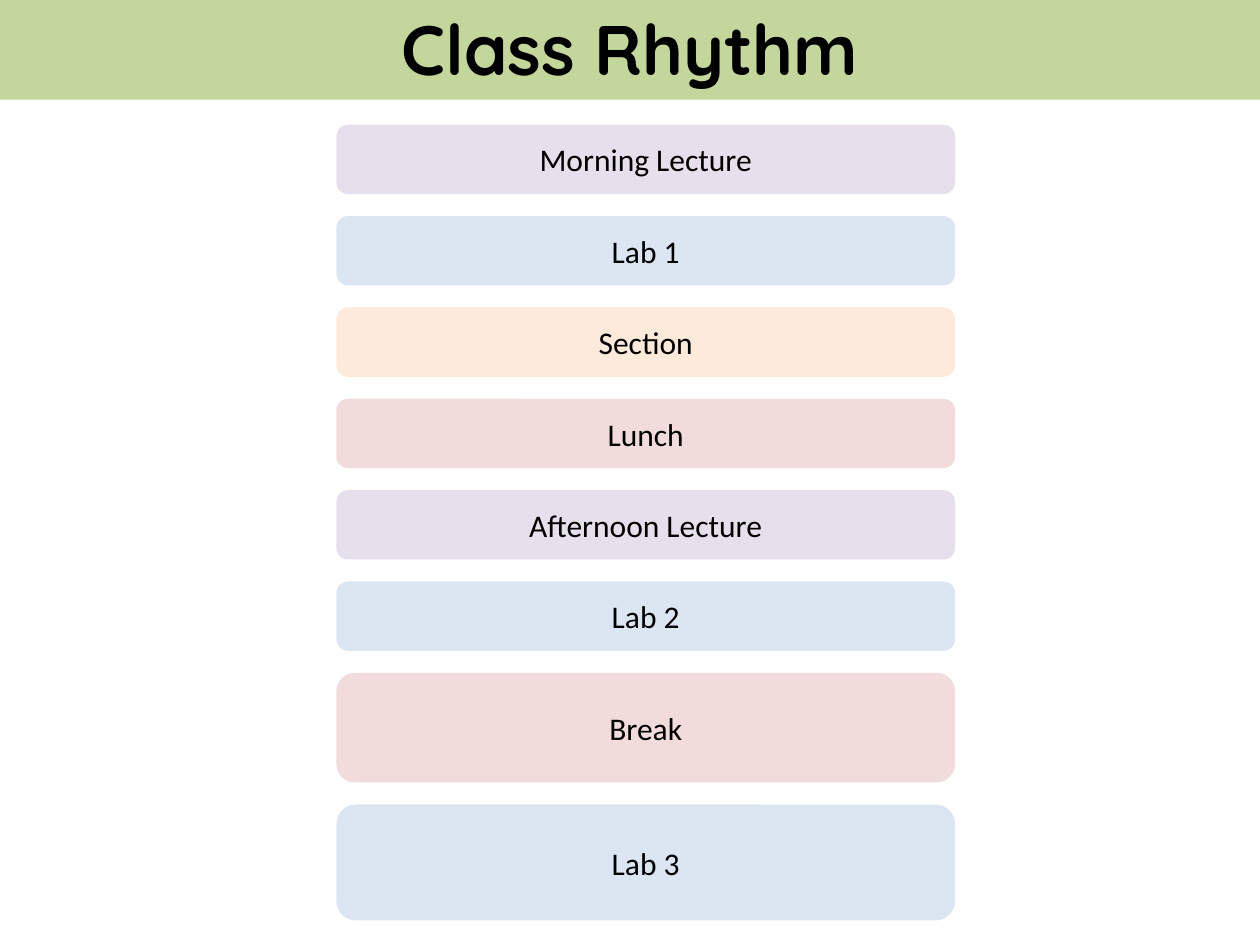
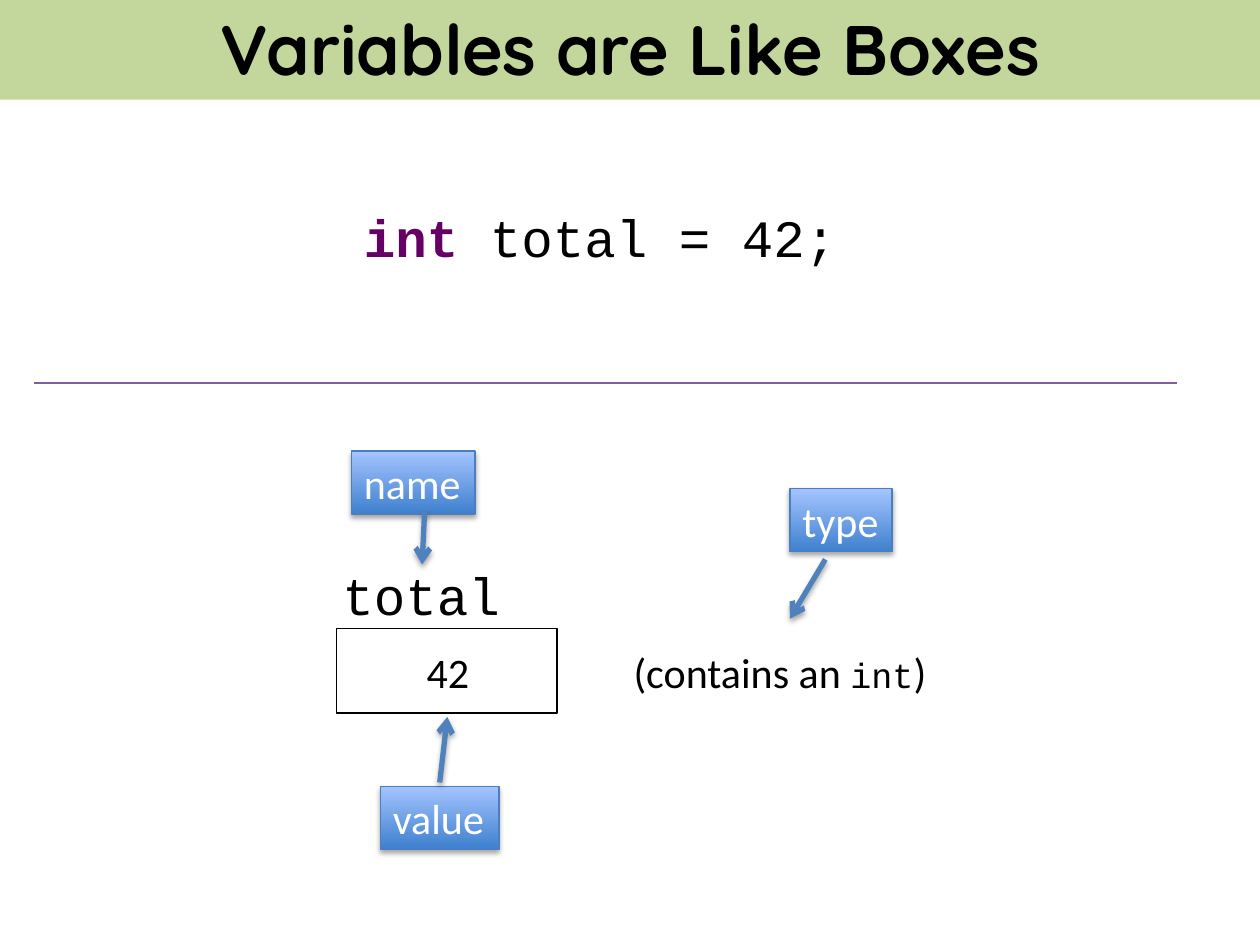
import pptx
import pptx.util
import pptx.dml.color
import pptx.enum.shapes
import pptx.enum.text
import pptx.oxml
import pptx.oxml.ns

Inches = pptx.util.Inches
Pt = pptx.util.Pt
RGBColor = pptx.dml.color.RGBColor
Shape = pptx.enum.shapes.MSO_SHAPE
Align = pptx.enum.text.PP_ALIGN
Anchor = pptx.enum.text.MSO_ANCHOR
Fit = pptx.enum.text.MSO_AUTO_SIZE

# Colours
BLACK = RGBColor(0x00, 0x00, 0x00)
WHITE = RGBColor(0xFF, 0xFF, 0xFF)
GREEN = RGBColor(0xC3, 0xD6, 0x9B)
LILAC = RGBColor(0xE6, 0xE0, 0xEC)
SKY = RGBColor(0xDC, 0xE6, 0xF2)
PEACH = RGBColor(0xFD, 0xEA, 0xDA)
ROSE = RGBColor(0xF2, 0xDC, 0xDB)
PLUM = RGBColor(0x66, 0x00, 0x66)
VIOLET = RGBColor(0x7D, 0x60, 0xA0)
DEEP = RGBColor(0x3F, 0x80, 0xCE)
LIGHT = RGBColor(0xA4, 0xC4, 0xFF)
EDGE = RGBColor(0x4B, 0x7E, 0xBC)
BLUE = RGBColor(0x4F, 0x81, 0xBD)

# Fonts
HEAD = "Quicksand"
BODY = "Calibri"
CODE = "Courier New"


class Deck:
    """Holds the style and the current slide."""

    def __init__(self):
        self.prs = pptx.Presentation()
        self.prs.slide_width = Inches(10)
        self.prs.slide_height = Inches(7.5)
        self.slide = None

    def start(self, title):
        self.slide = self.prs.slides.add_slide(self.prs.slide_layouts[6])
        self.band(title)

    def band(self, title):
        bar = self.block((0, -0.03, 10, 0.82), GREEN)
        self.words(bar, [(title, HEAD, 40, BLACK, True)], Align.CENTER)

    def block(self, at, fill, kind=Shape.RECTANGLE, edge=None):
        box = self.slide.shapes.add_shape(kind, *map(Inches, at))
        box.shadow.inherit = False
        if fill:
            box.fill.solid()
            box.fill.fore_color.rgb = fill
        if edge is None:
            box.line.fill.background()
        else:
            box.line.color.rgb = edge
            box.line.width = Pt(0.75)
        return box

    def words(self, box, runs, align=Align.LEFT, anchor=Anchor.MIDDLE,
              wrap=True):
        frame = box.text_frame
        frame.word_wrap = wrap
        frame.vertical_anchor = anchor
        para = frame.paragraphs[0]
        para.alignment = align
        for text, face, size, ink, bold in runs:
            run = para.add_run()
            run.text = text
            run.font.name = face
            run.font.size = Pt(size)
            run.font.color.rgb = ink
            run.font.bold = bold

    def text(self, at, runs, align=Align.LEFT, wrap=False):
        box = self.slide.shapes.add_textbox(*map(Inches, at))
        self.words(box, runs, align, Anchor.TOP, wrap)
        box.text_frame.auto_size = Fit.SHAPE_TO_FIT_TEXT

    def label(self, at, word):
        box = self.block(at, None, edge=EDGE)
        box.fill.gradient()
        box.fill.gradient_angle = 90
        for stop, tint in zip(box.fill.gradient_stops, (DEEP, LIGHT)):
            stop.color.rgb = tint
        self.shade(box)
        self.words(box, [(word, BODY, 24, WHITE, False)],
                   anchor=Anchor.TOP, wrap=False)
        box.text_frame.auto_size = Fit.SHAPE_TO_FIT_TEXT

    def line(self, start, end, ink, width):
        rule = self.slide.shapes.add_connector(
            pptx.enum.shapes.MSO_CONNECTOR.STRAIGHT,
            *map(Inches, start + end))
        rule.line.color.rgb = ink
        rule.line.width = Pt(width)
        self.effect(rule)
        return rule

    def arrow(self, start, end):
        rule = self.line(start, end, BLUE, 3)
        stroke = rule._element.spPr.find(pptx.oxml.ns.qn("a:ln"))
        stroke.append(pptx.oxml.parse_xml(
            f'<a:tailEnd {pptx.oxml.ns.nsdecls("a")} type="arrow"/>'))
        self.shade(rule)

    def effect(self, item, inner=""):
        props = item._element.spPr
        for old in props.findall(pptx.oxml.ns.qn("a:effectLst")):
            props.remove(old)
        props.append(pptx.oxml.parse_xml(
            f'<a:effectLst {pptx.oxml.ns.nsdecls("a")}>{inner}'
            '</a:effectLst>'))

    def shade(self, item):
        self.effect(item, (
            f'<a:outerShdw blurRad="{Pt(3.1)}" dist="{Pt(1.8)}" '
            'dir="5400000" rotWithShape="0"><a:srgbClr val="000000">'
            '<a:alpha val="35000"/></a:srgbClr></a:outerShdw>'))


def rhythm(deck):
    deck.start("Class Rhythm")
    low, gap = 0.55, 0.175
    parts = [
        ("Morning Lecture", LILAC, low),
        ("Lab 1", SKY, low),
        ("Section", PEACH, low),
        ("Lunch", ROSE, low),
        ("Afternoon Lecture", LILAC, low),
        ("Lab 2", SKY, low),
        ("Break", ROSE, 0.87),
        ("Lab 3", SKY, 0.92),
    ]
    top = 0.99
    for name, fill, high in parts:
        box = deck.block((2.67, top, 4.91, high), fill,
                         Shape.ROUNDED_RECTANGLE)
        deck.words(box, [(name, BODY, 18, BLACK, False)], Align.CENTER)
        top += high + gap


def boxes(deck):
    deck.start("Variables are Like Boxes")

    # Code above the rule
    deck.text((2.79, 1.58, 3.99, 0.61),
              [("int ", CODE, 30, PLUM, True),
               ("total = 42;", CODE, 30, BLACK, False)])
    deck.line((0.27, 3.04), (9.34, 3.04), VIOLET, 0.75)

    # The box with its name, value and type
    deck.block((2.67, 4.99, 1.75, 0.67), WHITE, edge=BLACK)
    deck.text((2.62, 4.42, 1.46, 0.61),
              [("total", CODE, 30, BLACK, False)])
    deck.text((2.79, 5.08, 1.53, 0.5),
              [("42", BODY, 24, BLACK, False)], Align.CENTER, True)
    deck.text((4.93, 5.08, 2.56, 0.5),
              [("(contains an ", BODY, 24, BLACK, False),
               ("int", CODE, 20, BLACK, False),
               (")", BODY, 24, BLACK, False)])

    # Labels and their arrows
    for word, at, start, end in [
        ("name", (2.79, 3.58, 0.98, 0.5), (3.37, 4.06), (3.35, 4.48)),
        ("value", (3.02, 6.24, 0.94, 0.5), (3.49, 6.21), (3.55, 5.69)),
        ("type", (6.27, 3.88, 0.81, 0.5), (6.55, 4.44), (6.27, 4.91)),
    ]:
        deck.label(at, word)
        deck.arrow(start, end)


def main():
    deck = Deck()
    rhythm(deck)
    boxes(deck)
    deck.prs.save("out.pptx")


if __name__ == "__main__":
    main()
